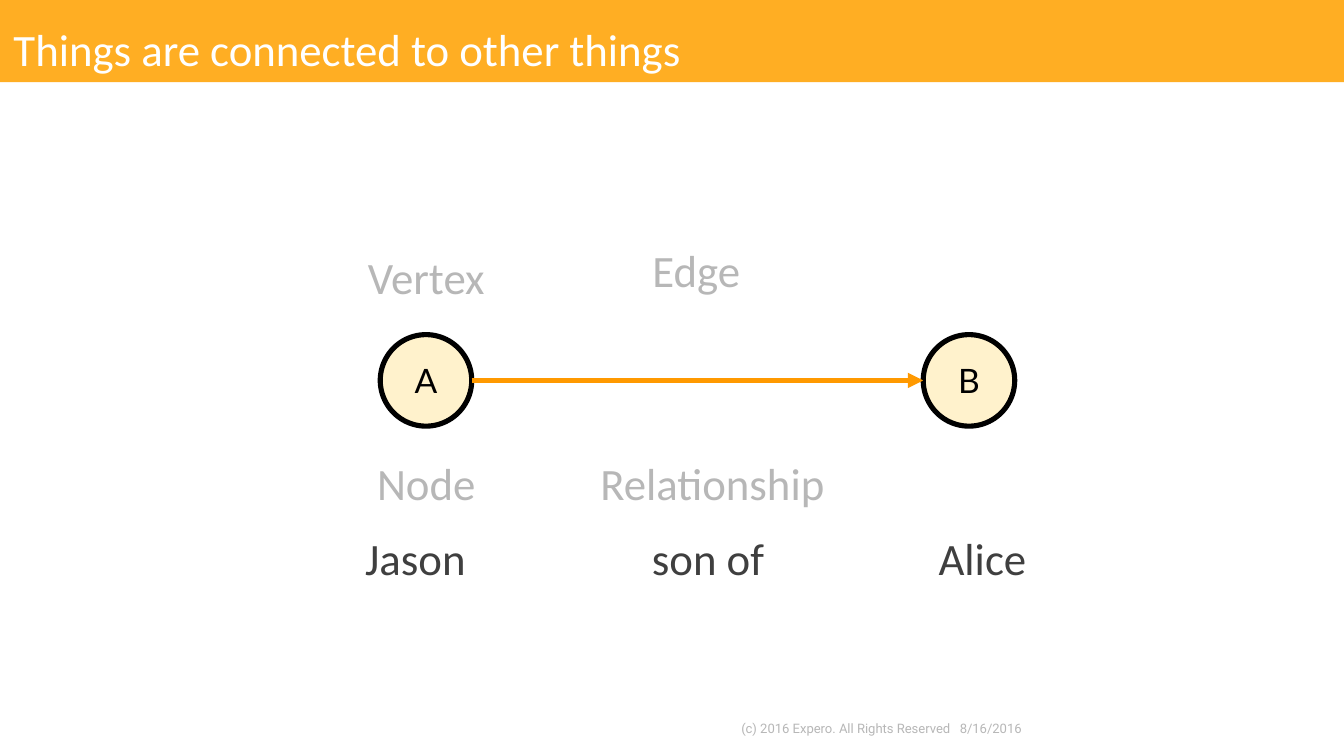
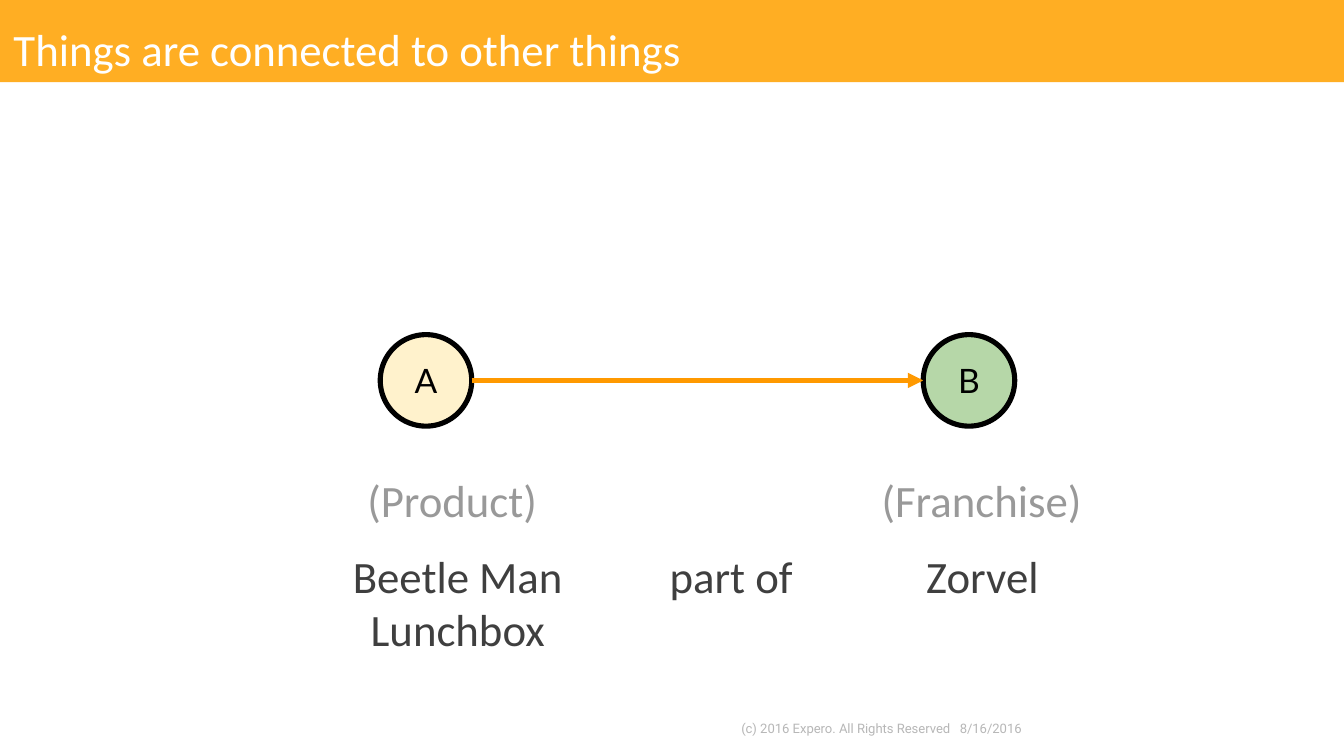
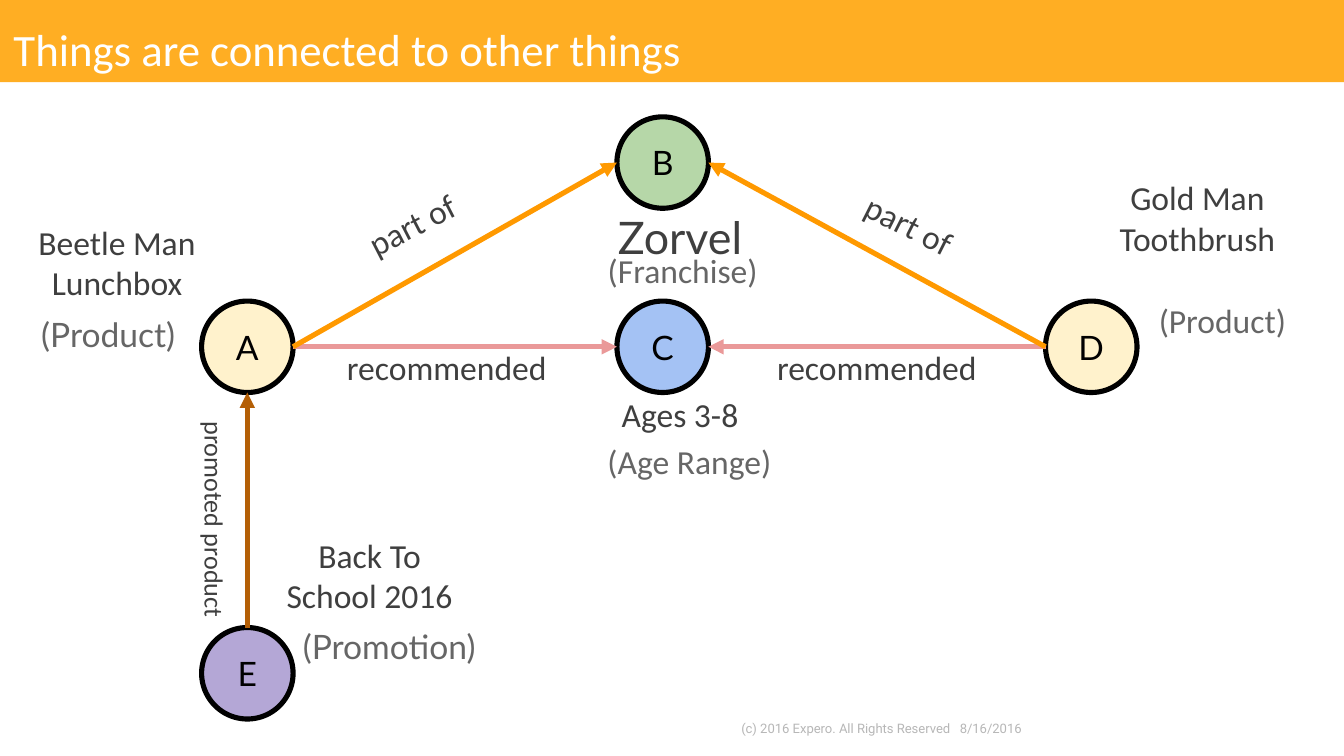
from dataclasses import dataclass

from lxml import etree
from pptx import Presentation
from pptx.dml.color import RGBColor
from pptx.enum.shapes import MSO_CONNECTOR as Connector, MSO_SHAPE as Preset
from pptx.enum.text import MSO_ANCHOR as Anchor, MSO_AUTO_SIZE as AutoSize, PP_ALIGN as Align
from pptx.oxml.ns import qn
from pptx.util import Pt


@dataclass(frozen=True)
class Theme:
    band: str = "FFAE23"
    white: str = "FFFFFF"
    black: str = "000000"
    dark: str = "3F3F3F"
    kind: str = "666666"
    mid: str = "999999"
    pale: str = "B7B7B7"
    cream: str = "FFF2CC"
    green: str = "B6D7A8"
    blue: str = "A4C2F4"
    purple: str = "B4A7D6"
    orange: str = "FF9900"
    pink: str = "EA9999"
    brown: str = "B45F06"
    text_font: str = "Calibri"
    node_font: str = "Lato"
    footer_font: str = "Roboto"
    large: float = 24
    medium: float = 18
    small: float = 14
    tiny: float = 7
    stroke: float = 2.75


THEME = Theme()
WIDTH, HEIGHT = 720, 405
BAND_HEIGHT = 44
NODE_SIZE = 49
TITLE = "Things are connected to other things"
FOOTERS = [("(c) 2016 Expero. All Rights Reserved", 372.2, 144), ("8/16/2016", 493.2, 61.2)]
# Direction from a node's centre to the middle of each side
SIDES = {"top": (0, -1), "left": (-1, 0), "bottom": (0, 1), "right": (1, 0)}


def rgb(value):
    return RGBColor.from_string(value)


class Deck:
    def __init__(self, theme):
        self.theme = theme
        self.prs = Presentation()
        self.prs.slide_width, self.prs.slide_height = Pt(WIDTH), Pt(HEIGHT)
        self.slide = None

    def start_slide(self, title):
        self.slide = self.prs.slides.add_slide(self.prs.slide_layouts[5])
        self.title(title)
        for text, left, width in FOOTERS:
            self.label(text, left, 378.7, width, 18, size=self.theme.tiny, color=self.theme.pale,
                       font=self.theme.footer_font, align=Align.RIGHT, inset=7.2)

    def set_text(self, shape, text, size, color, font, align=Align.CENTER, anchor=Anchor.TOP,
                 inset=3.6, spacing=None):
        frame = shape.text_frame
        settings = {"word_wrap": True, "auto_size": AutoSize.NONE, "vertical_anchor": anchor,
                    "margin_left": Pt(7.2), "margin_right": Pt(7.2),
                    "margin_top": Pt(inset), "margin_bottom": Pt(inset)}
        for name, value in settings.items():
            setattr(frame, name, value)
        frame.text = text
        for paragraph in frame.paragraphs:
            paragraph.alignment = align
            paragraph.line_spacing = spacing
            paragraph.space_before = Pt(0)
            for name, value in {"size": Pt(size), "name": font}.items():
                setattr(paragraph.font, name, value)
            paragraph.font.color.rgb = rgb(color)

    def title(self, text):
        band = self.slide.shapes.title
        for name, value in {"left": 0, "top": 0, "width": WIDTH, "height": BAND_HEIGHT}.items():
            setattr(band, name, Pt(value))
        band.fill.solid()
        band.fill.fore_color.rgb = rgb(self.theme.band)
        self.set_text(band, text, self.theme.large, self.theme.white, self.theme.text_font,
                      Align.LEFT, inset=7.2, spacing=1.15)

    def label(self, text, left, top, width, height=40.3, size=None, color=None, font=None,
              rotation=0, **layout):
        box = self.slide.shapes.add_textbox(Pt(left), Pt(top), Pt(width), Pt(height))
        box.rotation = rotation
        self.set_text(box, text, size or self.theme.large, color or self.theme.dark,
                      font or self.theme.text_font, **layout)

    def node(self, letter, x, y, fill):
        """Draw a lettered circle centred at x, y and return that centre."""
        circle = self.slide.shapes.add_shape(
            Preset.OVAL, Pt(x - NODE_SIZE / 2), Pt(y - NODE_SIZE / 2), Pt(NODE_SIZE), Pt(NODE_SIZE))
        circle.shadow.inherit = False
        circle.fill.solid()
        circle.fill.fore_color.rgb = rgb(fill)
        circle.line.color.rgb = rgb(self.theme.black)
        circle.line.width = Pt(self.theme.stroke)
        self.set_text(circle, letter, self.theme.medium, self.theme.black, self.theme.node_font,
                      anchor=Anchor.MIDDLE)
        return x, y

    def edge(self, source, source_side, target, target_side, color):
        """Draw an arrow between the named sides of two node centres."""
        ends = [Pt(centre + step * NODE_SIZE / 2)
                for node, side in ((source, source_side), (target, target_side))
                for centre, step in zip(node, SIDES[side])]
        arrow = self.slide.shapes.add_connector(Connector.STRAIGHT, *ends)
        arrow.line.color.rgb = rgb(color)
        arrow.line.width = Pt(self.theme.stroke)
        properties = arrow._element.spPr
        etree.SubElement(properties.find(qn("a:ln")), qn("a:tailEnd"), type="triangle")
        etree.SubElement(properties, qn("a:effectLst"))

    def pair(self, target_fill):
        """Draw node A pointing to node B."""
        a = self.node("A", 228.2, 203.8, self.theme.cream)
        b = self.node("B", 519.1, 203.8, target_fill)
        self.edge(a, "right", b, "left", self.theme.orange)


def vocabulary_slide(deck):
    deck.start_slide(TITLE)
    deck.pair(THEME.cream)
    for term, left, top, width in [("Vertex", 182.2, 130.3, 92.2), ("Node", 182.2, 240.5, 92.2),
                                   ("Edge", 326.9, 126.7, 92.2),
                                   ("Relationship", 299.5, 240.5, 164.2)]:
        deck.label(term, left, top, width, color=THEME.pale)
    for example, left, width in [("Jason", 162, 121), ("Alice", 455, 142.6), ("son of", 303, 152.6)]:
        deck.label(example, left, 280.8, width)


def franchise_slide(deck):
    deck.start_slide(TITLE)
    deck.pair(THEME.green)
    for kind, left in [("(Product)", 176.4), ("(Franchise)", 460)]:
        deck.label(kind, left, 249.8, 131.8, color=THEME.mid)
    for example, left, width in [("Beetle Man Lunchbox", 171.4, 147.6), ("Zorvel", 455, 142.6),
                                 ("part of", 315.4, 152.6)]:
        deck.label(example, left, 290.2, width)


def network_slide(deck):
    deck.start_slide(TITLE)
    left_x, middle_x, right_x = 132.5, 355, 584.6
    row_y = 185.8
    a = deck.node("A", left_x, row_y, THEME.cream)
    b = deck.node("B", middle_x, 87.1, THEME.green)
    c = deck.node("C", middle_x, row_y, THEME.blue)
    d = deck.node("D", right_x, row_y, THEME.cream)
    e = deck.node("E", left_x, 360.7, THEME.purple)

    for target, color in [(c, THEME.pink), (b, THEME.orange)]:
        deck.edge(a, "right", target, "left", color)
        deck.edge(d, "left", target, "right", color)
    deck.edge(e, "top", a, "bottom", THEME.brown)

    deck.label("Zorvel", 293, 108.7, 142.6, font=THEME.node_font)
    for thing, left, top, width, height in [
            ("Beetle Man\nLunchbox", 2.2, 115.2, 121, 103.7),
            ("Ages 3-8", 293, 207.4, 142.6, 40.3),
            ("Gold Man Toothbrush", 570.2, 91.4, 142.6, 77),
            ("Back To School 2016", 137.5, 283, 121, 103.7)]:
        deck.label(thing, left, top, width, height, THEME.medium)
    for kind, left, top, width, font in [
            ("(Franchise)", 285.1, 130.3, 161.3, THEME.text_font),
            ("(Age Range)", 288.7, 232.6, 161.3, THEME.text_font),
            ("(Product)", 2.9, 164.9, 110.2, THEME.node_font),
            ("(Product)", 599.8, 157, 110.2, THEME.text_font),
            ("(Promotion)", 153.4, 331.9, 110.2, THEME.node_font)]:
        deck.label(kind, left, top, width, 28.8, THEME.medium, THEME.kind, font)
    for left, rotation in [(146.9, -27.2), (408.2, 26.8)]:
        deck.label("part of", left, 105.1, 152.6, size=THEME.medium, rotation=rotation)
    for left in (152.6, 383):
        deck.label("recommended", left, 182.2, 173.5, size=THEME.medium)
    deck.label("promoted product", 13.7, 241.2, 152.6, 74.2, THEME.small, rotation=90)


def main():
    deck = Deck(THEME)
    for build in (vocabulary_slide, franchise_slide, network_slide):
        build(deck)
    deck.prs.save("out.pptx")


if __name__ == "__main__":
    main()
